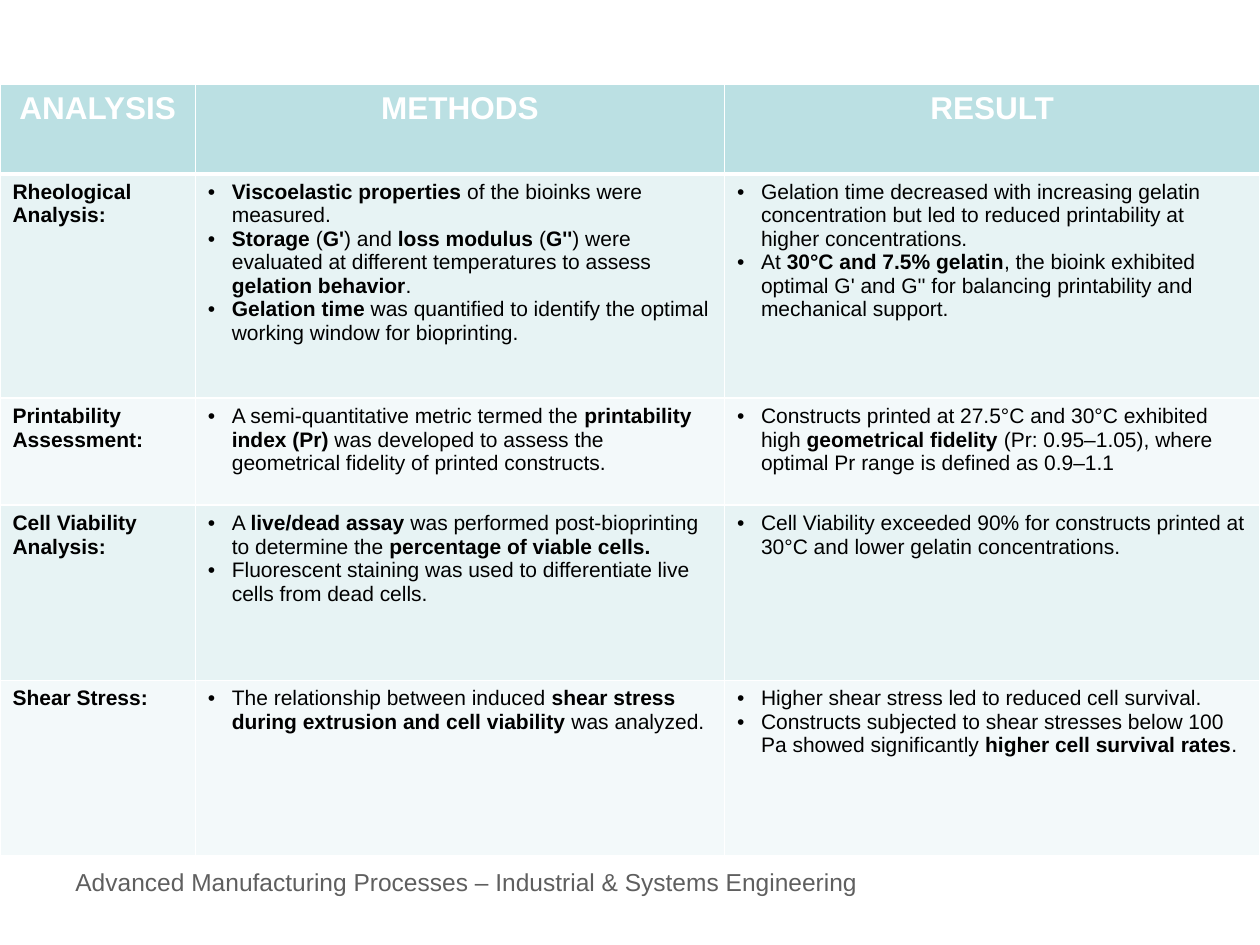
from dataclasses import dataclass
from lxml.etree import SubElement as Sub
from pptx import Presentation as Deck
from pptx.dml.color import RGBColor as Rgb
from pptx.enum.text import PP_ALIGN as Align
from pptx.oxml.ns import qn
from pptx.util import Inches, Pt


@dataclass(frozen=True)
class Theme:
    face: str = "Arial"
    head: str = "BBE0E3"
    bands: tuple = ("E7F3F4", "F3F9FA")
    white: str = "FFFFFF"
    ink: str = "000000"
    gray: str = "5F5F5F"
    title: int = 18
    body: int = 12
    foot: int = 14


class Page:
    """Draws styled elements on one slide."""

    def __init__(self, deck, theme):
        self.theme = theme
        self.slide = deck.slides.add_slide(deck.slide_layouts[6])

    def prose(self, para, text, size, color, bold=False):
        for i, part in enumerate(text.split("*")):
            if part:
                run = para.add_run()
                run.text = part
                if "*" in text:
                    run.font.bold = i % 2 == 1
        font = para.font
        font.name, font.size = self.theme.face, Pt(size)
        font.color.rgb = Rgb.from_string(color)
        if "*" not in text:
            font.bold = bold

    def bullet(self, para):
        props = para._p.get_or_add_pPr()
        props.set("marL", str(Inches(0.19)))
        props.set("indent", str(Inches(-0.19)))
        Sub(props, qn("a:buFont"), typeface=self.theme.face)
        Sub(props, qn("a:buChar"), char="•")

    def paint(self, cell, fill, base=1):
        props = cell._tc.get_or_add_tcPr()
        for side, width in zip("LRTB", (1, 1, 1, base)):
            line = Sub(props, qn(f"a:ln{side}"), w=str(Pt(width)))
            Sub(Sub(line, qn("a:solidFill")), qn("a:srgbClr"), val=self.theme.white)
        cell.fill.solid()
        cell.fill.fore_color.rgb = Rgb.from_string(fill)

    def table(self, left, top, cols, rows, heads, data):
        look = self.theme
        grid = self.slide.shapes.add_table(
            len(rows), len(cols), Inches(left), Inches(top),
            Inches(sum(cols)), Inches(sum(rows))).table
        for col, width in zip(grid.columns, cols):
            col.width = Inches(width)
        for row, height in zip(grid.rows, rows):
            row.height = Inches(height)
        for c, text in enumerate(heads):
            cell = grid.cell(0, c)
            self.paint(cell, look.head, 3)
            para = cell.text_frame.paragraphs[0]
            para.alignment = Align.CENTER
            self.prose(para, text, look.title, look.white, True)
        for r, (name, *lists) in enumerate(data, 1):
            for c, items in enumerate([[name], *lists]):
                cell = grid.cell(r, c)
                self.paint(cell, look.bands[(r - 1) % 2])
                frame = cell.text_frame
                for i, text in enumerate(items):
                    para = frame.add_paragraph() if i else frame.paragraphs[0]
                    if c:
                        self.bullet(para)
                    self.prose(para, text, look.body, look.ink, c == 0)

    def label(self, left, top, width, height, text):
        box = self.slide.shapes.add_textbox(*map(Inches, (left, top, width, height)))
        box.text_frame.word_wrap = True
        self.prose(box.text_frame.paragraphs[0], text, self.theme.foot, self.theme.gray)


HEADS = ("ANALYSIS", "METHODS", "RESULT")
DATA = (
    ("Rheological Analysis:",
     ["*Viscoelastic properties* of the bioinks were measured.",
      "*Storage* (*G'*) and *loss modulus *(*G''*) were evaluated at different "
      "temperatures to assess *gelation behavior*.",
      "*Gelation time *was quantified to identify the optimal working window "
      "for bioprinting."],
     ["Gelation time decreased with increasing gelatin concentration but led "
      "to reduced printability at higher concentrations.",
      "At *30°C and 7.5% gelatin*, the bioink exhibited optimal G' and G'' for "
      "balancing printability and mechanical support."]),
    ("Printability Assessment:",
     ["A semi-quantitative metric termed the *printability index (Pr)* was "
      "developed to assess the geometrical fidelity of printed constructs."],
     ["Constructs printed at 27.5°C and 30°C exhibited high *geometrical "
      "fidelity *(Pr: 0.95–1.05), where optimal Pr range is defined as 0.9–1.1"]),
    ("Cell Viability Analysis:",
     ["A *live/dead assay *was performed post-bioprinting to determine the "
      "*percentage of viable cells.*",
      "Fluorescent staining was used to differentiate live cells from dead cells."],
     ["Cell Viability exceeded 90% for constructs printed at 30°C and lower "
      "gelatin concentrations."]),
    ("Shear Stress:",
     ["The relationship between induced *shear stress during extrusion and "
      "cell viability* was analyzed."],
     ["Higher shear stress led to reduced cell survival.",
      "Constructs subjected to shear stresses below 100 Pa showed "
      "significantly *higher cell survival rates*."]),
)


def main():
    deck = Deck()
    deck.slide_width, deck.slide_height = Inches(10), Inches(7.5)
    page = Page(deck, Theme())
    page.label(0.5, 6.83, 6.58, 0.34,
               "Advanced Manufacturing Processes – Industrial & Systems Engineering")
    page.table(0, 0.67, (1.55, 4.2, 4.25), (0.71, 1.78, 0.85, 1.39, 1.39), HEADS, DATA)
    deck.save("out.pptx")


if __name__ == "__main__":
    main()
